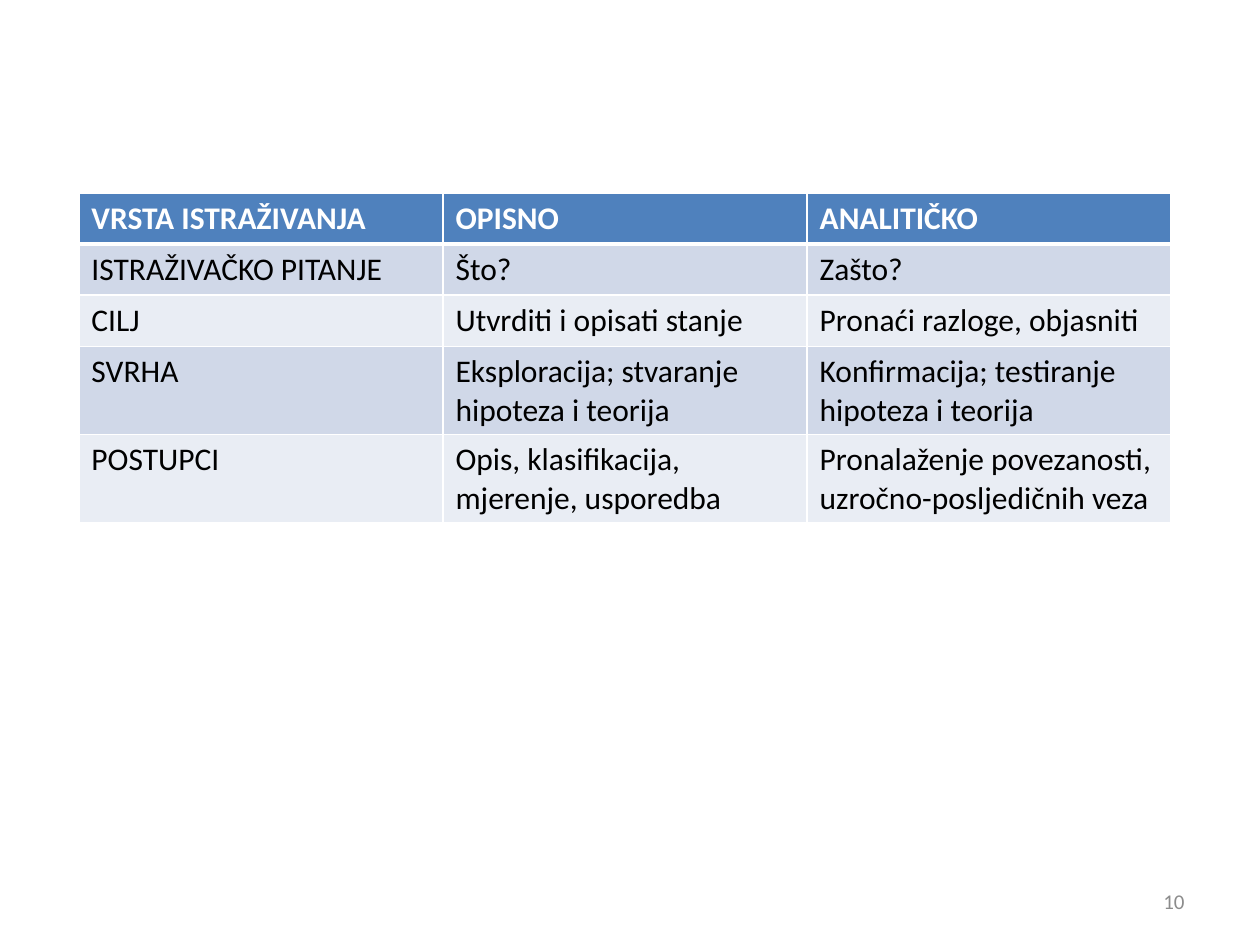
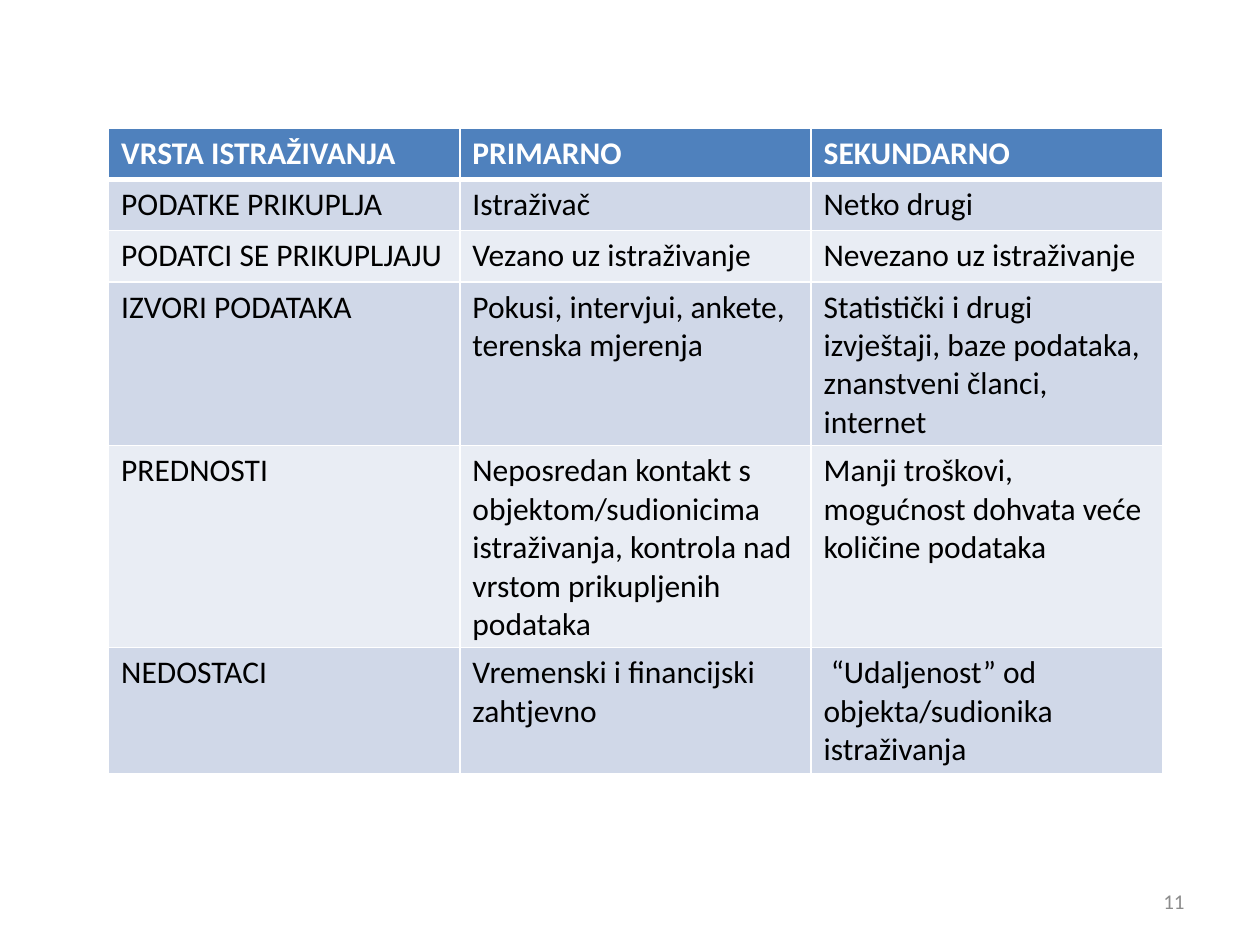
from pptx import Presentation
from pptx.dml.color import RGBColor
from pptx.enum.text import MSO_ANCHOR, PP_ALIGN
from pptx.oxml import parse_xml
from pptx.oxml.ns import nsdecls
from pptx.util import Cm, Pt

WHITE, BLACK, GREY = "FFFFFF", "000000", "8C8C8C"
HEAD = "4F81BD"
BANDS = ("E9EDF4", "D0D8E8")

STUDY = [
    ("VRSTA ISTRAŽIVANJA", "OPISNO", "ANALITIČKO"),
    ("ISTRAŽIVAČKO PITANJE", "Što?", "Zašto?"),
    ("CILJ", "Utvrditi i opisati stanje", "Pronaći razloge, objasniti"),
    ("SVRHA", "Eksploracija; stvaranje hipoteza i teorija",
     "Konfirmacija; testiranje hipoteza i teorija"),
    ("POSTUPCI", "Opis, klasifikacija, mjerenje, usporedba",
     "Pronalaženje povezanosti, uzročno-posljedičnih veza"),
]
SOURCES = [
    ("VRSTA ISTRAŽIVANJA", "PRIMARNO", "SEKUNDARNO"),
    ("PODATKE PRIKUPLJA", "Istraživač", "Netko drugi"),
    ("PODATCI SE PRIKUPLJAJU", "Vezano uz istraživanje",
     "Nevezano uz istraživanje"),
    ("IZVORI PODATAKA", "Pokusi, intervjui, ankete, terenska mjerenja",
     "Statistički i drugi izvještaji, baze podataka, znanstveni članci, "
     "internet"),
    ("PREDNOSTI",
     "Neposredan kontakt s objektom/sudionicima istraživanja, kontrola nad "
     "vrstom prikupljenih podataka",
     "Manji troškovi, mogućnost dohvata veće količine podataka"),
    ("NEDOSTACI", "Vremenski i financijski zahtjevno",
     " “Udaljenost” od objekta/sudionika istraživanja"),
]


def color(code):
    return RGBColor.from_string(code)


def write(frame, text, size=18, ink=BLACK, bold=False, align=PP_ALIGN.LEFT):
    frame.word_wrap = True
    para = frame.paragraphs[0]
    para.alignment = align
    run = para.add_run()
    run.text = text
    font = run.font
    font.name, font.size, font.bold = "Calibri", Pt(size), bold
    font.color.rgb = color(ink)


def edge(cell, **widths):
    """Draw white borders, given in points by side: L, R, T, B."""
    props = cell._tc.get_or_add_tcPr()
    for side, width in widths.items():
        props.append(parse_xml(
            f'<a:ln{side} {nsdecls("a")} w="{Pt(width)}"><a:solidFill>'
            f'<a:srgbClr val="{WHITE}"/></a:solidFill></a:ln{side}>'))


class Deck:
    def __init__(self):
        self.prs = Presentation()
        self.prs.slide_width, self.prs.slide_height = Cm(25.4), Cm(19.05)

    def page(self, number):
        self.slide = self.prs.slides.add_slide(self.prs.slide_layouts[6])
        box = self.slide.shapes.add_textbox(
            Cm(18.2), Cm(17.66), Cm(5.93), Cm(1.01))
        box.text_frame.vertical_anchor = MSO_ANCHOR.MIDDLE
        write(box.text_frame, str(number), size=12, ink=GREY,
              align=PP_ALIGN.RIGHT)

    def table(self, rows, left, top, width, height=1.03):
        """Add a banded table; width is per column, height per row, in cm."""
        count = len(rows[0])
        grid = self.slide.shapes.add_table(
            len(rows), count, Cm(left), Cm(top),
            Cm(width * count), Cm(height * len(rows))).table
        for col in grid.columns:
            col.width = Cm(width)
        for i, row in enumerate(rows):
            grid.rows[i].height = Cm(height)
            head = i == 0
            for j, text in enumerate(row):
                cell = grid.cell(i, j)
                edge(cell, L=1, R=1, T=3 if i == 1 else 1, B=3 if head else 1)
                cell.fill.solid()
                cell.fill.fore_color.rgb = color(HEAD if head else BANDS[i % 2])
                write(cell.text_frame, text, bold=head,
                      ink=WHITE if head else BLACK)


def main():
    deck = Deck()
    deck.page(10)
    deck.table(STUDY, 1.59, 3.89, 7.34)
    deck.page(11)
    deck.table(SOURCES, 2.19, 2.59, 7.08)
    deck.prs.save("out.pptx")


if __name__ == "__main__":
    main()
